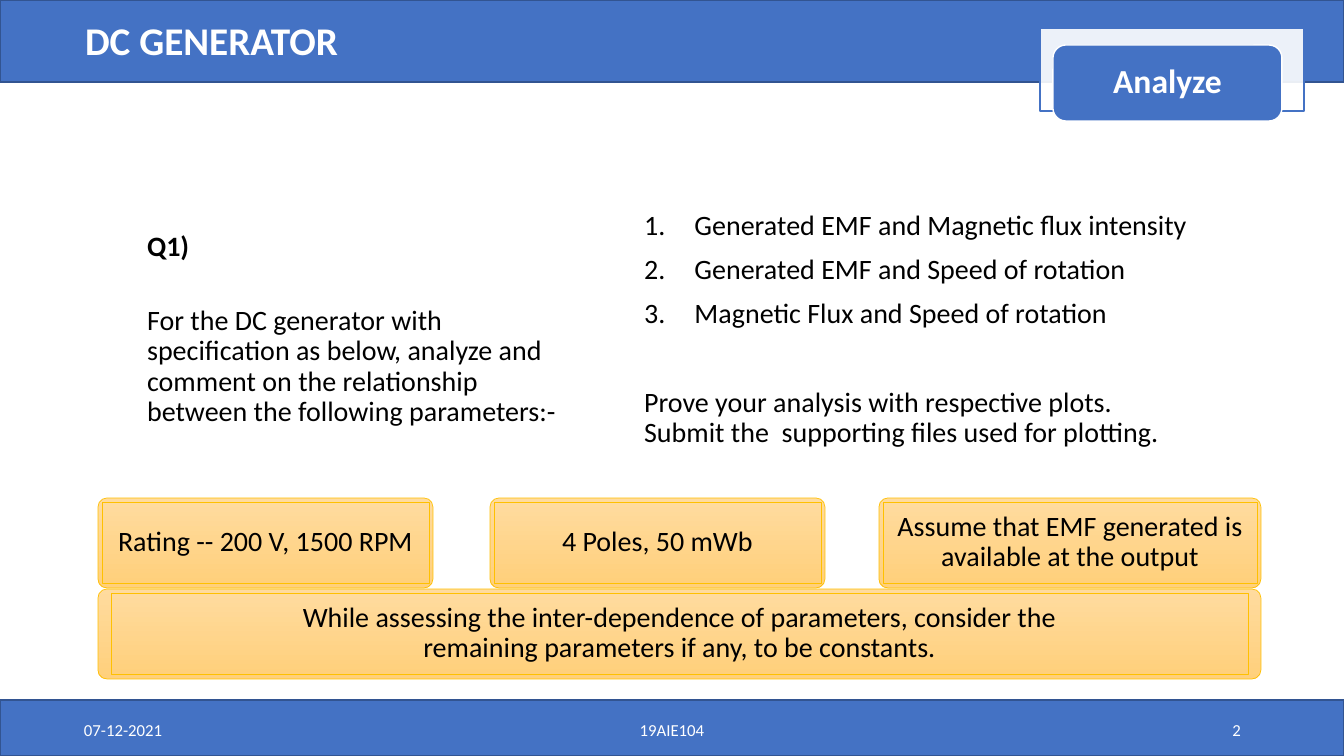
from lxml.etree import SubElement
from pptx import Presentation
from pptx.dml.color import RGBColor
from pptx.enum.shapes import MSO_SHAPE
from pptx.enum.text import MSO_ANCHOR, MSO_AUTO_SIZE, PP_ALIGN
from pptx.oxml.ns import qn
from pptx.util import Pt

PIXEL = 914400 / 100.8
BLUE, DARK_BLUE, GOLD = "4472C4", "325491", "FFC000"
WHITE, BLACK = "FFFFFF", "000000"


def add_panel(shapes, kind, bounds, fills, line, width=1):
    """Add a preset shape; two fill colours make a downward gradient."""
    panel = shapes.add_shape(kind, *[round(n * PIXEL) for n in bounds])
    panel.shadow.inherit = False
    if len(fills) == 2:
        panel.fill.gradient()
        panel.fill.gradient_angle = 270
        for stop, color in zip(panel.fill.gradient_stops, fills):
            stop.color.rgb = RGBColor.from_string(color)
    else:
        panel.fill.solid()
        panel.fill.fore_color.rgb = RGBColor.from_string(fills[0])
    panel.line.color.rgb = RGBColor.from_string(line)
    panel.line.width = Pt(width)
    if kind == MSO_SHAPE.ROUNDED_RECTANGLE:
        panel.adjustments[0] = 0.1 if len(fills) == 2 else 0.17
    return panel


def write(box, lines, size, color, align=PP_ALIGN.LEFT, bounds=None):
    """Fill a box with (text, space before, bold, numbered) lines."""
    if bounds:
        box.left, box.top, box.width, box.height = [round(n * PIXEL) for n in bounds]
    frame = box.text_frame
    frame.word_wrap = True
    frame.auto_size = MSO_AUTO_SIZE.NONE
    frame.vertical_anchor = MSO_ANCHOR.MIDDLE
    for index, (text, before, bold, numbered) in enumerate(lines):
        para = frame.add_paragraph() if index else frame.paragraphs[0]
        para.text = text
        para.alignment = align
        para.line_spacing = 0.9
        para.space_before = Pt(before)
        properties = para._p.get_or_add_pPr()
        indent = Pt(36) if numbered else 0
        properties.set("marL", str(indent))
        properties.set("indent", str(-indent))
        if numbered:
            SubElement(properties, qn("a:buFont"), typeface="+mj-lt")
            SubElement(properties, qn("a:buAutoNum"), type="arabicPeriod")
        else:
            SubElement(properties, qn("a:buNone"))
        para.font.name = "Calibri"
        para.font.size = Pt(size)
        para.font.bold = bold
        para.font.color.rgb = RGBColor.from_string(color)


deck = Presentation()
deck.slide_width, deck.slide_height = round(1344 * PIXEL), round(756 * PIXEL)
page = deck.slides.add_slide(deck.slide_layouts[3])
title, question, tasks = page.placeholders

# Header and footer bands lie behind the title
for top, height in [(700, 56), (0, 82)]:
    band = add_panel(page.shapes, MSO_SHAPE.RECTANGLE, (0, top, 1344, height), [BLUE], DARK_BLUE)
    title.element.addprevious(band.element)

write(title, [("DC GENERATOR", 0, True, False)], 28, WHITE, bounds=(75, 10, 1086, 66))

footers = [
    ("07-12-2021", 74, 302, PP_ALIGN.LEFT),
    ("19AIE104", 445, 454, PP_ALIGN.CENTER),
    ("2", 949, 302, PP_ALIGN.RIGHT),
]
for text, left, width, align in footers:
    footer = page.shapes.add_textbox(0, 0, 0, 0)
    write(footer, [(text, 0, False, False)], 12, WHITE, align, (left, 711, width, 40))

# Question and tasks
write(question, [
    ("Q1)", 10, True, False),
    ("For the DC generator with specification as below, analyze and comment on "
     "the relationship between the following parameters:-", 31, False, False),
], 20, BLACK, bounds=(137, 199, 431, 262))
write(tasks, [
    ("Generated EMF and Magnetic flux intensity", 10, False, True),
    ("Generated EMF and Speed of rotation", 10, False, True),
    ("Magnetic Flux and Speed of rotation", 10, False, True),
    ("Prove your analysis with respective plots. "
     "Submit the  supporting files used for plotting.", 42, False, False),
], 20, BLACK, bounds=(634, 199, 568, 262))

# Specification cards: a rounded frame with a labelled rectangle inside
cards = [
    ("Rating -- 200 V, 1500 RPM", 98, 498, 335, 4),
    ("4 Poles, 50 mWb", 490, 498, 335, 4),
    ("Assume that EMF generated is available at the output", 879, 498, 382, 4),
    ("While assessing the inter-dependence of parameters, consider the\v"
     "remaining parameters if any, to be constants.", 98, 589, 1163, 13),
]
for text, left, top, width, inset in cards:
    card = page.shapes.add_group_shape().shapes
    bounds = (left, top, width, 90)
    inner = (left + inset, top + 4, width - 2 * inset, 81)
    for kind, area in [(MSO_SHAPE.ROUNDED_RECTANGLE, bounds), (MSO_SHAPE.RECTANGLE, inner)]:
        panel = add_panel(card, kind, area, ["FFDB9E", "FFD07C"], GOLD, 0.5)
    panel.text_frame.margin_top = panel.text_frame.margin_bottom = 0
    write(panel, [(text, 0, False, False)], 20, BLACK, PP_ALIGN.CENTER)

# Skill badge
badge = page.shapes.add_group_shape().shapes
backing = add_panel(badge, MSO_SHAPE.RECTANGLE, (1040, 28, 264, 83), [WHITE], BLUE)
white = backing.fill._xPr.find(qn("a:solidFill")).find(qn("a:srgbClr"))
SubElement(white, qn("a:alpha"), val="90000")
label = add_panel(badge, MSO_SHAPE.ROUNDED_RECTANGLE, (1053, 45, 229, 76), [BLUE], WHITE)
write(label, [("Analyze", 0, True, False)], 24, WHITE, PP_ALIGN.CENTER)

deck.save("out.pptx")
